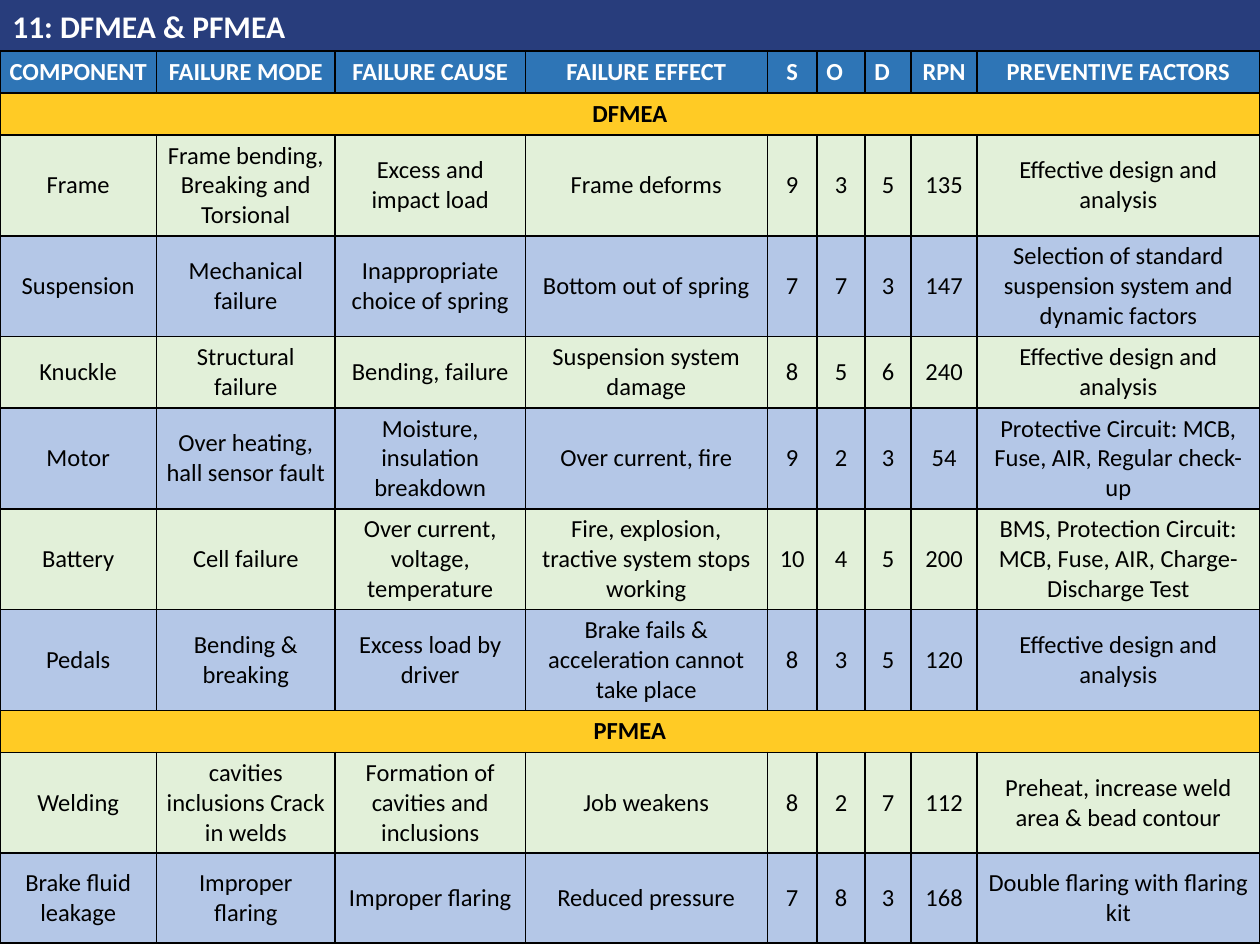
from dataclasses import dataclass
from itertools import accumulate

from lxml.etree import SubElement
from pptx import Presentation
from pptx.dml.color import RGBColor as RGB
from pptx.enum.shapes import MSO_SHAPE as Shape
from pptx.enum.text import MSO_ANCHOR as Anchor, PP_ALIGN as Align
from pptx.oxml.ns import qn
from pptx.util import Pt


@dataclass(frozen=True)
class Theme:
    font: str = "Calibri"
    title_size: int = 18
    body_size: int = 14
    title_fill: str = "283D7C"
    header_fill: str = "2E75B6"
    section_fill: str = "FFCB25"
    row_fills: tuple = ("E2F0D9", "B4C7E7")
    light: str = "FFFFFF"
    dark: str = "000000"
    border: float = 1


THEME = Theme()
WIDTH, HEIGHT, TITLE_HEIGHT = 720, 540, 29.2
COLUMN_EDGES = (0, 89.4, 191.6, 300.2, 438.5, 467, 494.4, 520.8, 558.4, WIDTH)
BAND_HEIGHT = 24  # header and section rows

HEADERS = ("COMPONENT", "FAILURE MODE", "FAILURE CAUSE", "FAILURE EFFECT",
           "S", "O", "D", "RPN", "PREVENTIVE FACTORS")
LEFT_HEADERS = ("O", "D")

# Each section holds (row height, cell texts)
SECTIONS = {
    "DFMEA": [
        (57.6, ("Frame", "Frame bending,\nBreaking and Torsional",
                "Excess and impact load", "Frame deforms",
                9, 3, 5, 135, "Effective design and analysis")),
        (57.6, ("Suspension", "Mechanical failure",
                "Inappropriate choice of spring", "Bottom out of spring",
                7, 7, 3, 147,
                "Selection of standard suspension system and dynamic factors")),
        (40.8, ("Knuckle", "Structural failure", "Bending, failure",
                "Suspension system damage",
                8, 5, 6, 240, "Effective design and analysis")),
        (57.6, ("Motor", "Over heating, hall sensor fault",
                "Moisture, insulation breakdown", "Over current, fire",
                9, 2, 3, 54,
                "Protective Circuit: MCB, Fuse, AIR, Regular check-up")),
        (57.6, ("Battery", "Cell failure", "Over current, voltage, temperature",
                "Fire, explosion, tractive system stops working",
                10, 4, 5, 200,
                "BMS, Protection Circuit: MCB, Fuse, AIR, Charge-Discharge Test")),
        (57.6, ("Pedals", "Bending & breaking", "Excess load by driver",
                "Brake fails & acceleration cannot take place",
                8, 3, 5, 120, "Effective design and analysis")),
    ],
    "PFMEA": [
        (57.6, ("Welding", "cavities inclusions Crack in welds",
                "Formation of cavities and inclusions", "Job weakens",
                8, 2, 7, 112, "Preheat, increase weld area & bead contour")),
        (51.2, ("Brake fluid leakage", "Improper flaring", "Improper flaring",
                "Reduced pressure",
                7, 8, 3, 168, "Double flaring with flaring kit")),
    ],
}


def write_text(tf, text, *, size=THEME.body_size, color=THEME.dark,
               bold=False, align=Align.CENTER):
    """Write one paragraph for each line of text."""
    tf.word_wrap = True
    for i, line in enumerate(str(text).split("\n")):
        p = tf.add_paragraph() if i else tf.paragraphs[0]
        p.alignment = align
        r = p.add_run()
        r.text = line
        r.font.name, r.font.size, r.font.bold = THEME.font, Pt(size), bold
        r.font.color.rgb = RGB.from_string(color)


def add_title(s, text):
    sp = s.shapes.add_shape(Shape.RECTANGLE, 0, 0, Pt(WIDTH), Pt(TITLE_HEIGHT))
    sp.shadow.inherit = False
    sp.fill.solid()
    sp.fill.fore_color.rgb = RGB.from_string(THEME.title_fill)
    sp.line.fill.background()
    sp.text_frame.vertical_anchor = Anchor.MIDDLE
    write_text(sp.text_frame, text, size=THEME.title_size, color=THEME.light,
               bold=True, align=Align.LEFT)


def style_cell(cell, fill):
    """Set the margins, borders and fill of a cell."""
    cell.vertical_anchor = Anchor.MIDDLE
    cell.margin_left = cell.margin_right = Pt(5.3)
    cell.margin_top = cell.margin_bottom = Pt(3.2)
    tc_pr = cell._tc.get_or_add_tcPr()
    for side in ("a:lnL", "a:lnR", "a:lnT", "a:lnB"):
        ln = SubElement(tc_pr, qn(side), w=str(Pt(THEME.border)))
        solid = SubElement(ln, qn("a:solidFill"))
        SubElement(solid, qn("a:srgbClr"), val=THEME.dark)
    cell.fill.solid()
    cell.fill.fore_color.rgb = RGB.from_string(fill)


def fill_row(table, row, height, texts, fill, **text_format):
    table.rows[row].height = Pt(height)
    for cell, text in zip(table.rows[row].cells, texts):
        style_cell(cell, fill)
        align = Align.LEFT if text in LEFT_HEADERS else Align.CENTER
        write_text(cell.text_frame, text, align=align, **text_format)


def fill_section_row(table, row, name):
    table.rows[row].height = Pt(BAND_HEIGHT)
    for cell in table.rows[row].cells:
        style_cell(cell, THEME.section_fill)
    first = table.cell(row, 0)
    first.merge(table.cell(row, len(HEADERS) - 1))
    write_text(first.text_frame, name, bold=True)


def add_fmea_table(s):
    count = 1 + sum(1 + len(rows) for rows in SECTIONS.values())
    table = s.shapes.add_table(count, len(HEADERS), 0, Pt(TITLE_HEIGHT),
                               Pt(WIDTH), Pt(HEIGHT - TITLE_HEIGHT)).table
    table.first_row = table.horz_banding = False
    for column, left, right in zip(table.columns, COLUMN_EDGES, COLUMN_EDGES[1:]):
        column.width = Pt(right - left)

    # Header row
    fill_row(table, 0, BAND_HEIGHT, HEADERS, THEME.header_fill,
             color=THEME.light, bold=True)

    # Sections, with alternating row fills
    starts = accumulate((1 + len(rows) for rows in SECTIONS.values()), initial=1)
    for start, (name, rows) in zip(starts, SECTIONS.items()):
        fill_section_row(table, start, name)
        for i, (height, texts) in enumerate(rows):
            fill_row(table, start + 1 + i, height, texts, THEME.row_fills[i % 2])


def main():
    prs = Presentation()
    prs.slide_width, prs.slide_height = Pt(WIDTH), Pt(HEIGHT)
    s = prs.slides.add_slide(prs.slide_layouts[6])
    add_title(s, "11: DFMEA & PFMEA")
    add_fmea_table(s)
    prs.save("out.pptx")


if __name__ == "__main__":
    main()
